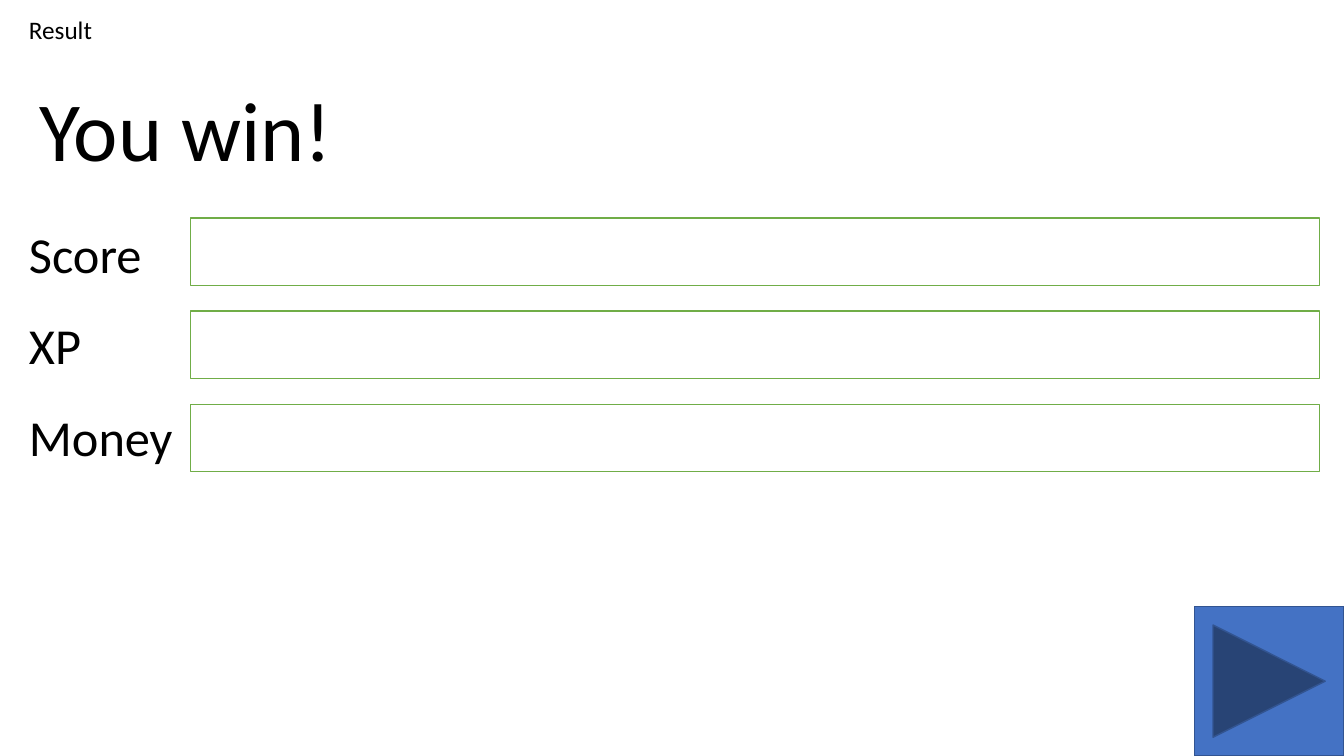
"""Build the game result slide with its score rows and next button."""
from pptx import Presentation
from pptx.dml.color import RGBColor
from pptx.enum.shapes import MSO_SHAPE
from pptx.enum.text import MSO_AUTO_SIZE
from pptx.util import Cm, Pt

HUES = {"text": "000000", "field": "FFFFFF", "edge": "70AD47",
        "button": "4472C4", "rim": "325491"}


def add_label(text, left, top, width, height, size):
    box = slide.shapes.add_textbox(Cm(left), Cm(top), Cm(width), Cm(height))
    frame = box.text_frame
    frame.word_wrap = True
    frame.auto_size = MSO_AUTO_SIZE.SHAPE_TO_FIT_TEXT
    frame.text = text
    font = frame.paragraphs[0].font
    font.name = "Calibri"
    font.size = Pt(size)
    font.color.rgb = RGBColor.from_string(HUES["text"])


def add_block(kind, left, top, width, height, fill, line):
    block = slide.shapes.add_shape(kind, Cm(left), Cm(top), Cm(width), Cm(height))
    block.shadow.inherit = False
    block.fill.solid()
    block.fill.fore_color.rgb = RGBColor.from_string(HUES[fill])
    block.line.color.rgb = RGBColor.from_string(HUES[line])
    block.line.width = Pt(1)


deck = Presentation()
deck.slide_width = Cm(33.87)
deck.slide_height = Cm(19.05)
slide = deck.slides.add_slide(deck.slide_layouts[6])

add_label("Result", 0.48, 0.23, 16.43, 1.02, 18)
add_label("You win!", 0.74, 1.83, 27.08, 2.82, 60)

for row, name in enumerate(["Score", "XP", "Money"]):
    add_block(MSO_SHAPE.RECTANGLE, 4.8, 5.49 + 2.35 * row, 28.45, 1.7, "field", "edge")
    add_label(name, 0.48, 5.49 + 2.31 * row, 4.32, 1.8, 36)

add_block(MSO_SHAPE.ACTION_BUTTON_FORWARD_OR_NEXT, 30.1, 15.28, 3.77, 3.77, "button", "rim")

deck.save("out.pptx")
